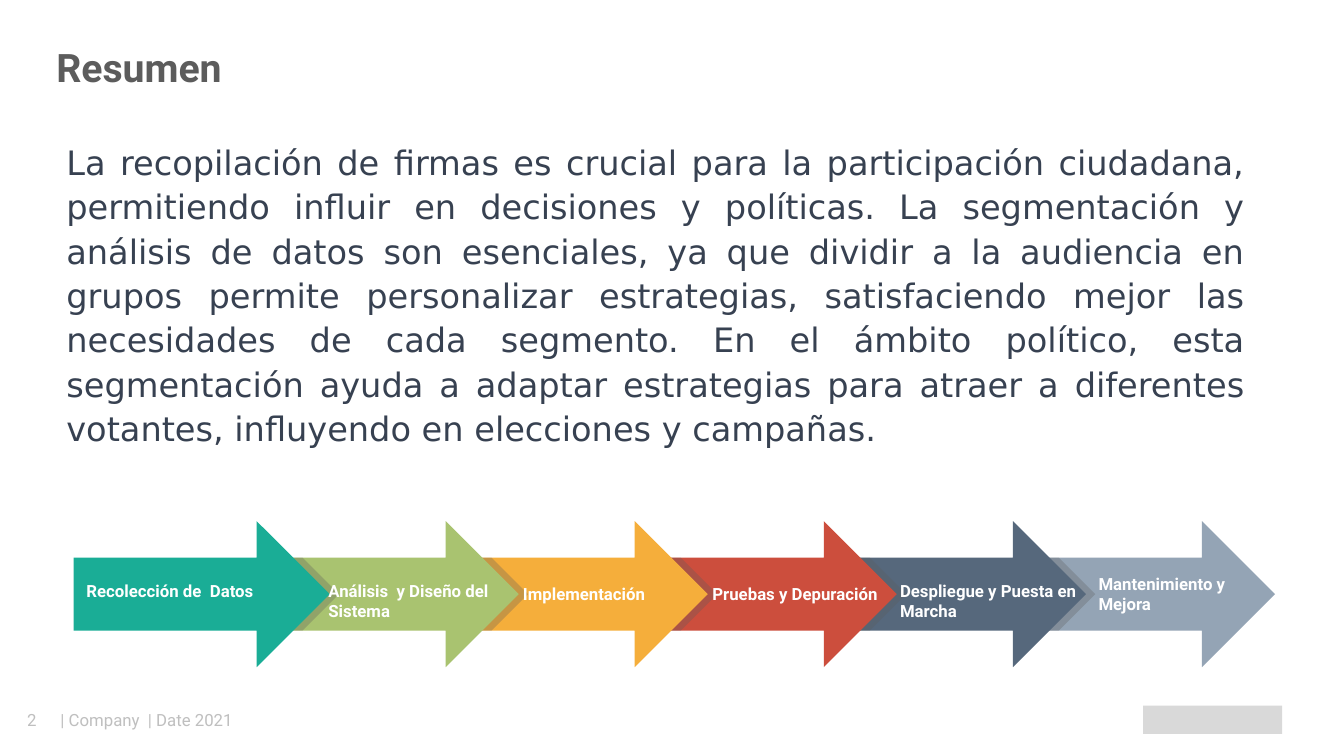
"""Build the "Resumen" slide: a summary paragraph above a six-step arrow process."""
from lxml.etree import SubElement
from pptx import Presentation
from pptx.dml.color import RGBColor
from pptx.enum.shapes import MSO_SHAPE
from pptx.enum.text import MSO_ANCHOR, MSO_AUTO_SIZE, PP_ALIGN
from pptx.oxml.ns import qn
from pptx.util import Pt

COLORS = {
    "heading": "5C5C5C", "body": "374151", "footer": "BFBFBF", "emblem": "D9D9D9",
    "shade": "5C5C5C", "label": "FFFFFF", "teal": "1AAD96", "green": "A9C370",
    "amber": "F5AE3B", "red": "CC4E3D", "slate": "56687C", "mist": "94A4B5",
}
HEADING = "Resumen"
SUMMARY = (
    "La recopilación de firmas es crucial para la participación ciudadana, permitiendo "
    "influir en decisiones y políticas. La segmentación y análisis de datos son esenciales, "
    "ya que dividir a la audiencia en grupos permite personalizar estrategias, satisfaciendo "
    "mejor las necesidades de cada segmento. En el ámbito político, esta segmentación ayuda a "
    "adaptar estrategias para atraer a diferentes votantes, influyendo en elecciones y campañas."
)
PAGE_NUMBER = "2"
FOOTER = "| Company  | Date 2021"
STEPS = [
    ("Recolección de  Datos", "teal", (54.7, 411, 141, 21.6)),
    ("Análisis  y Diseño del Sistema", "green", (227.5, 411, 141, 36)),
    ("Implementación", "amber", (366.5, 413.3, 141, 21.6)),
    ("Pruebas y Depuración", "red", (501.8, 413.3, 141, 21.6)),
    ("Despliegue y Puesta en Marcha", "slate", (635.8, 411, 141, 36)),
    ("Mantenimiento y Mejora", "mist", (777.6, 406, 141, 36)),
]

ARROW_LEFT, ARROW_TOP, ARROW_WIDTH, ARROW_HEIGHT = 52.6, 372.2, 182.9, 104.4
ARROW_STEP = 135.06
SHADE_OFFSET, SHADE_WIDTH, SHADE_ALPHA = 1.2, 53.3, 30
DEFAULT_INSETS = (7.2, 3.6, 7.2, 3.6)


def points(values):
    return [Pt(value) for value in values]


def paint(shape, color):
    shape.shadow.inherit = False
    shape.fill.solid()
    shape.fill.fore_color.rgb = RGBColor.from_string(COLORS[color])
    shape.line.fill.background()


def write(shape, text, color, size, insets=DEFAULT_INSETS, bold=False, font="Roboto",
          anchor=MSO_ANCHOR.MIDDLE, align=PP_ALIGN.LEFT, spacing=1.0):
    frame = shape.text_frame
    frame.text = text
    left, top, right, bottom = points(insets)
    paragraph = frame.paragraphs[0]
    run_font = paragraph.runs[0].font
    formats = [
        (frame, {"word_wrap": True, "auto_size": MSO_AUTO_SIZE.NONE,
                 "vertical_anchor": anchor, "margin_left": left, "margin_top": top,
                 "margin_right": right, "margin_bottom": bottom}),
        (paragraph, {"alignment": align, "line_spacing": spacing}),
        (run_font, {"name": font, "size": Pt(size), "bold": bold}),
    ]
    for target, values in formats:
        for name, value in values.items():
            setattr(target, name, value)
    run_font.color.rgb = RGBColor.from_string(COLORS[color])


def add_shade(shapes, arrow_left):
    left = arrow_left + SHADE_OFFSET
    top, height = ARROW_TOP + ARROW_HEIGHT / 4, ARROW_HEIGHT / 2
    tip, shoulder = left + SHADE_WIDTH, left + SHADE_WIDTH - height / 2
    outline = [(shoulder, top), (tip, top + height / 2),
               (shoulder, top + height), (left, top + height)]
    builder = shapes.build_freeform(Pt(left), Pt(top))
    builder.add_line_segments([points(corner) for corner in outline], close=True)
    shade = builder.convert_to_shape()
    paint(shade, "shade")
    fill_color = shade.element.spPr.find(qn("a:solidFill"))[0]
    SubElement(fill_color, qn("a:alpha"), val=str(SHADE_ALPHA * 1000))


def main():
    deck = Presentation()
    deck.slide_width, deck.slide_height = Pt(960), Pt(540)
    slide = deck.slides.add_slide(deck.slide_layouts[5])
    shapes = slide.shapes

    heading = shapes.title
    heading.left, heading.top, heading.width, heading.height = points((40.3, 30.2, 878.4, 35.3))
    write(heading, HEADING, "heading", 28, insets=(0, 0, 0, 0), bold=True)

    page_number = shapes.add_textbox(*points((2.2, 499.7, 41, 28.8)))
    write(page_number, PAGE_NUMBER, "footer", 12, insets=(9.4, 5, 9.4, 5), align=PP_ALIGN.CENTER)
    footer = shapes.add_textbox(*points((43.2, 506.9, 191.5, 14.4)))
    write(footer, FOOTER, "footer", 12, insets=(0, 0, 0, 0))
    emblem = shapes.add_shape(MSO_SHAPE.RECTANGLE, *points((816.5, 504, 99.4, 20.2)))
    paint(emblem, "emblem")

    summary = shapes.add_textbox(*points((40.3, 95, 856.1, 229)))
    write(summary, SUMMARY, "body", 24, font="DejaVu Sans", anchor=MSO_ANCHOR.TOP,
          align=PP_ALIGN.JUSTIFY, spacing=1.1)

    for index, (_, color, _) in reversed(list(enumerate(STEPS))):
        left = ARROW_LEFT + index * ARROW_STEP
        arrow = shapes.add_shape(
            MSO_SHAPE.RIGHT_ARROW, *points((left, ARROW_TOP, ARROW_WIDTH, ARROW_HEIGHT)))
        paint(arrow, color)
        if index:
            add_shade(shapes, left)

    for step, _, box in STEPS:
        write(shapes.add_textbox(*points(box)), step, "label", 12, bold=True)

    deck.save("out.pptx")


if __name__ == "__main__":
    main()
